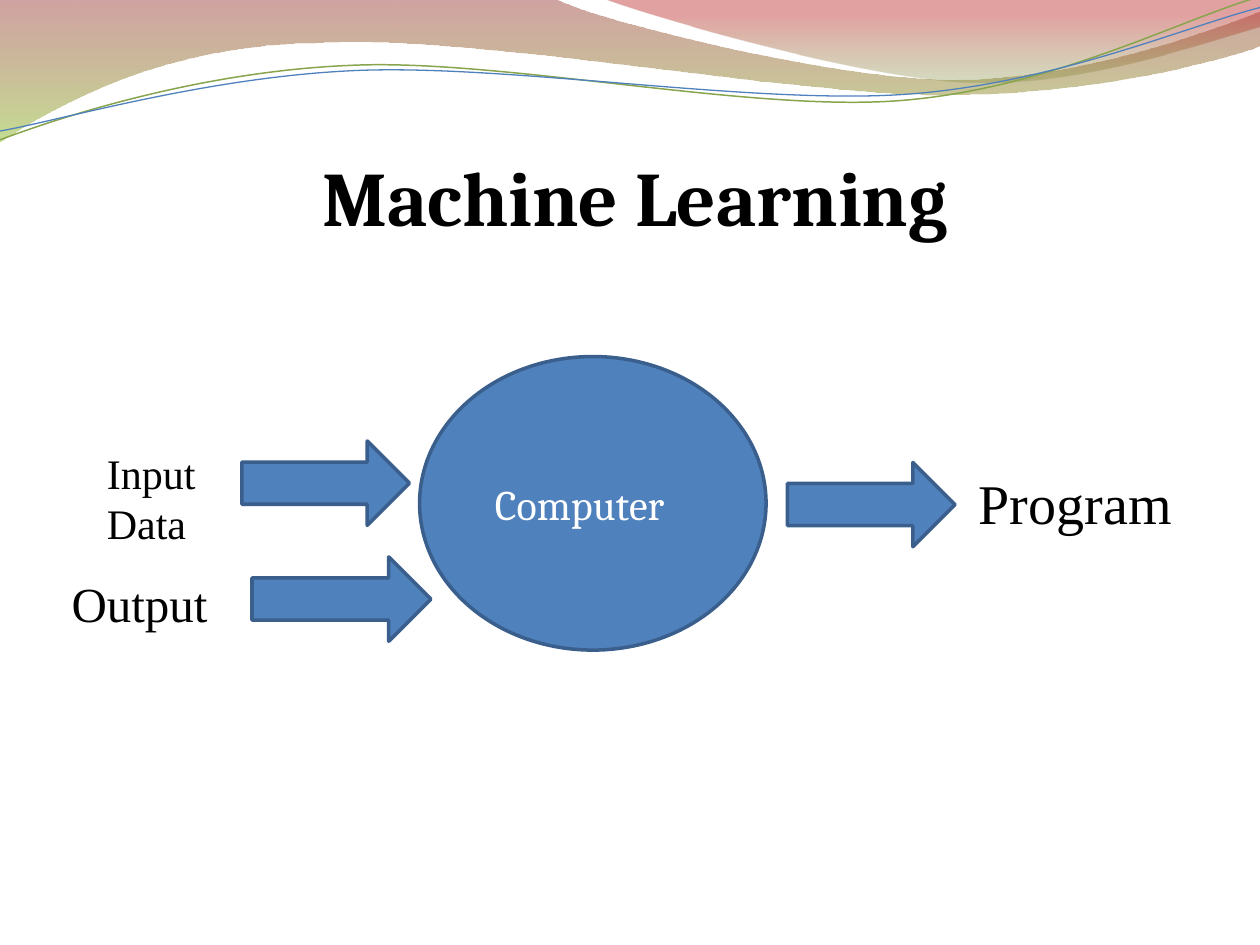
from lxml import etree
from pptx import Presentation
from pptx import util as u
from pptx.dml.color import RGBColor
from pptx.enum import shapes, text
from pptx.oxml.ns import qn

BLACK = RGBColor(0x00, 0x00, 0x00)
WHITE = RGBColor(0xFF, 0xFF, 0xFF)
BLUE = RGBColor(0x4F, 0x81, 0xBD)
DARK_BLUE = RGBColor(0x3A, 0x5F, 0x8C)
GREEN = RGBColor(0x88, 0xA5, 0x4E)
DARK_RED = RGBColor(0x97, 0x33, 0x30)
LIME = RGBColor(0x95, 0xC2, 0x38)
OLIVE = RGBColor(0x76, 0x95, 0x37)
RED = RGBColor(0xBE, 0x33, 0x30)
SERIF = "Times New Roman"
HEADING = "Cambria"

# Outlines in inches: a pair is a straight step, six numbers are a Bezier step
LEFT_WAVE = [(0, 0), (4.4, -0.01), (4.76, 0.17, 6.64, 0.63, 7.58, 0.63),
             (8.53, 0.63, 9.58, 0.26, 10, 0.09), (10.01, 0.36),
             (9.83, 0.44, 8.7, 0.76, 7.46, 0.75),
             (6.22, 0.75, 3.82, 0.28, 2.57, 0.34),
             (1.29, 0.35, 0.46, 0.83, -0.01, 1.13)]
RIGHT_WAVE = [(4.79, -0.01), (5.09, 0.11, 6.82, 0.62, 7.69, 0.65),
              (8.56, 0.69, 9.61, 0.32, 10, 0.21), (10, 0)]
GREEN_STRAND = [(0, 1.11), (0.48, 0.93, 1.58, 0.57, 2.77, 0.52),
                (3.95, 0.46, 5.93, 0.89, 7.13, 0.8),
                (8.33, 0.71, 9.38, 0.15, 9.98, -0.02)]
BLUE_STRAND = [(0, 1.04), (0.47, 0.96, 1.64, 0.61, 2.83, 0.56),
               (4.03, 0.51, 5.97, 0.83, 7.17, 0.75),
               (8.36, 0.67, 9.41, 0.21, 10, 0.06)]


def box(*lengths):
    return [u.Inches(length) for length in lengths]


def add_outline(slide, outline, close):
    """Build a freeform, then join each Bezier step's three points in a curve."""
    points = [tuple(box(*step[i:i + 2]))
              for step in outline for i in range(0, len(step), 2)]
    builder = slide.shapes.build_freeform(*points[0])
    builder.add_line_segments(points[1:], close=close)
    curve = builder.convert_to_shape()
    curve.shadow.inherit = False
    lines = iter(list(curve._element.iter(qn("a:lnTo"))))
    for step in outline[1:]:
        first = next(lines)
        if len(step) == 6:
            bezier = etree.Element(qn("a:cubicBezTo"))
            first.addprevious(bezier)
            for line in (first, next(lines), next(lines)):
                bezier.append(line[0])
                line.getparent().remove(line)
    return curve


def add_wave(slide, outline, stops, angle):
    """Fill an outline with see-through (position, colour, alpha) stops."""
    wave = add_outline(slide, outline, close=True)
    wave.line.fill.background()
    wave.fill.background()
    empty_fill = wave._element.spPr.find(qn("a:noFill"))
    gradient = etree.Element(qn("a:gradFill"), rotWithShape="1")
    stop_list = etree.SubElement(gradient, qn("a:gsLst"))
    for position, color, alpha in stops:
        stop = etree.SubElement(stop_list, qn("a:gs"), pos=str(position * 1000))
        tint = etree.SubElement(stop, qn("a:srgbClr"), val=str(color))
        etree.SubElement(tint, qn("a:alpha"), val=str(alpha * 1000))
    etree.SubElement(gradient, qn("a:lin"), ang=str(angle * 60000), scaled="0")
    wave._element.spPr.replace(empty_fill, gradient)


def add_strand(slide, outline, color, width):
    strand = add_outline(slide, outline, close=False)
    strand.fill.background()
    strand.line.color.rgb = color
    strand.line.width = u.Pt(width)


def write(frame, words, *, size, font=SERIF, color=BLACK, bold=False,
          align=text.PP_ALIGN.LEFT, anchor=text.MSO_ANCHOR.TOP, wrap=True):
    frame.word_wrap = wrap
    frame.auto_size = text.MSO_AUTO_SIZE.NONE
    frame.vertical_anchor = anchor
    paragraph = frame.paragraphs[0]
    paragraph.alignment = align
    run = paragraph.add_run()
    run.text = words
    run.font.size = u.Pt(size)
    run.font.name = font
    run.font.bold = bold
    run.font.color.rgb = color


def add_label(slide, words, place, **style):
    write(slide.shapes.add_textbox(*box(*place)).text_frame, words, **style)


def add_block(slide, preset, place):
    block = slide.shapes.add_shape(preset, *box(*place))
    block.shadow.inherit = False
    block.fill.solid()
    block.fill.fore_color.rgb = BLUE
    block.line.color.rgb = DARK_BLUE
    block.line.width = u.Pt(2)
    return block


def main():
    deck = Presentation()
    deck.slide_width, deck.slide_height = box(10, 7.5)
    slide = deck.slides.add_slide(deck.slide_layouts[5])

    # Wavy header
    add_wave(slide, LEFT_WAVE, [(0, DARK_RED, 45), (100, LIME, 55)], 90)
    add_wave(slide, RIGHT_WAVE, [(0, OLIVE, 30), (80, RED, 45)], 270)
    add_strand(slide, GREEN_STRAND, GREEN, 0.85)
    add_strand(slide, BLUE_STRAND, BLUE, 0.75)

    # Title, its frame reaching down behind the diagram
    title = slide.shapes.title
    title.left, title.top, title.width, title.height = box(0.5, 0.71, 9.08, 5.67)
    title.text_frame.margin_top = u.Inches(0.48)
    write(title.text_frame, "Machine Learning", size=44, font=HEADING,
          bold=True, align=text.PP_ALIGN.CENTER)

    # What goes in and what comes out
    add_label(slide, "Input Data", (0.75, 3.5, 1.25, 0.9), size=24)
    add_label(slide, "Output", (0.47, 4.5, 1.28, 0.57), size=28, wrap=False)
    add_label(slide, "Program", (7.67, 3.67, 1.73, 0.63), size=32, wrap=False)

    # Computer, its word set a little left of the middle
    computer = add_block(slide, shapes.MSO_SHAPE.OVAL, (3.33, 2.83, 2.75, 2.33))
    computer.text_frame.margin_right = u.Inches(0.31)
    write(computer.text_frame, "Computer", size=24, font=HEADING, color=WHITE,
          align=text.PP_ALIGN.CENTER, anchor=text.MSO_ANCHOR.MIDDLE)

    # Flow arrows: output in, program out, input data in
    for left, top, width in ((2, 4.42, 1.42), (6.25, 3.67, 1.33),
                             (1.92, 3.5, 1.33)):
        add_block(slide, shapes.MSO_SHAPE.RIGHT_ARROW, (left, top, width, 0.67))

    deck.save("out.pptx")


if __name__ == "__main__":
    main()
